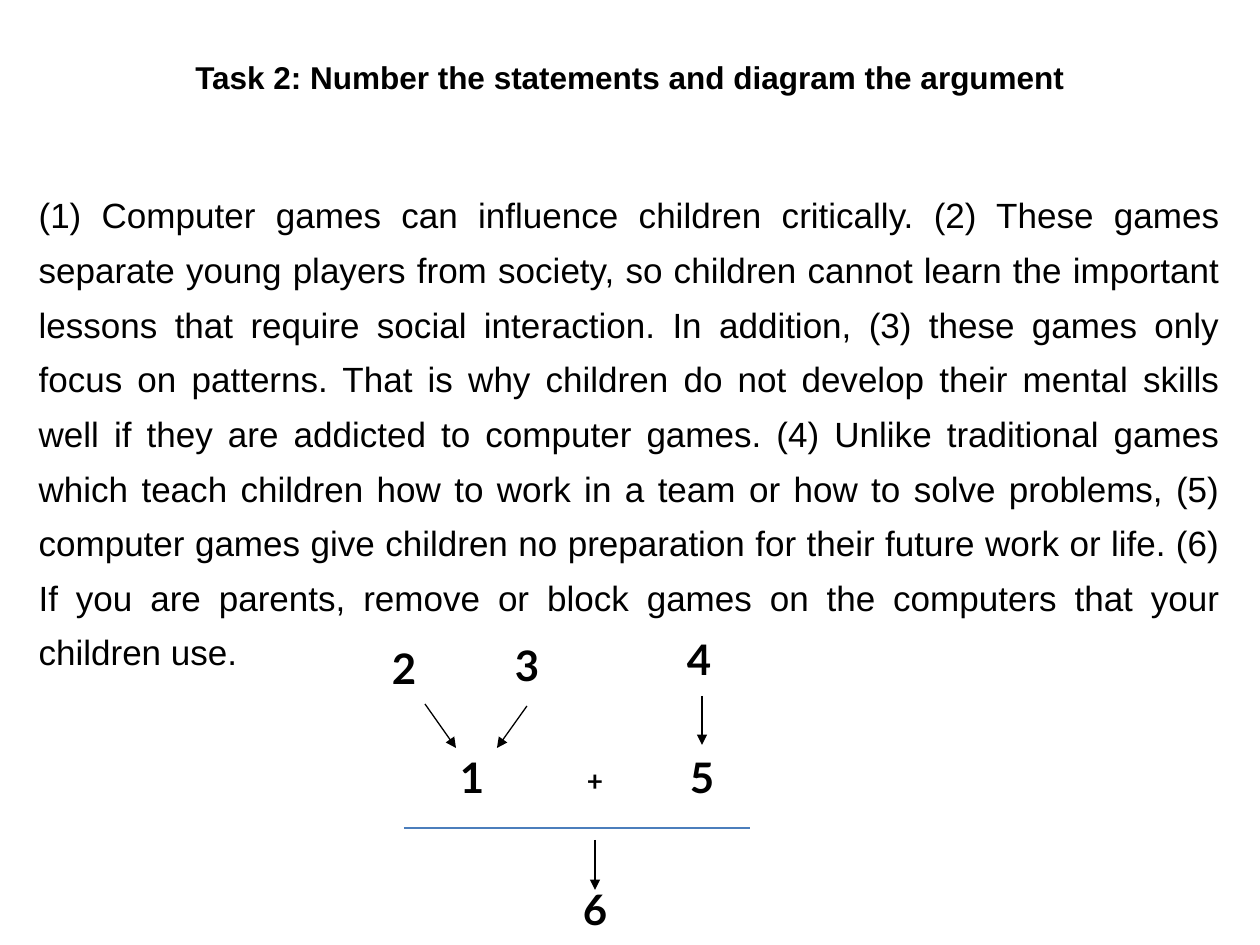
from lxml.etree import SubElement
from pptx import Presentation
from pptx.dml.color import RGBColor
from pptx.enum.shapes import MSO_CONNECTOR
from pptx.enum.text import MSO_ANCHOR, MSO_AUTO_SIZE, PP_ALIGN
from pptx.oxml.ns import qn
from pptx.util import Emu, Pt

# Content: positions in px, 126 px to the inch
TITLE = "Task 2: Number the statements and diagram the argument"
ARGUMENT = (
    "(1) Computer games can influence children critically. (2) These games "
    "separate young players from society, so children cannot learn the "
    "important lessons that require social interaction. In addition, (3) "
    "these games only focus on patterns. That is why children do not develop "
    "their mental skills well if they are addicted to computer games. (4) "
    "Unlike traditional games which teach children how to work in a team or "
    "how to solve problems, (5) computer games give children no preparation "
    "for their future work or life. (6) If you are parents, remove or block "
    "games on the computers that your children use."
)
# label, left, top, height, size in points
LABELS = [
    ("1", 404, 745, 63, 24),
    ("5", 634, 745, 63, 24),
    ("2", 336, 636, 63, 24),
    ("3", 459, 633, 63, 24),
    ("4", 631, 627, 63, 24),
    ("6", 527, 877, 63, 24),
    ("+", 527, 757, 47, 16),
]
LABEL_WIDTH = 136
# start x, start y, end x, end y
ARROWS = [
    (425, 704, 456, 748),
    (527, 706, 497, 748),
    (702, 696, 702, 745),
    (595, 840, 595, 890),
]
SUM_LINE = (404, 828, 750, 828)
COLORS = {"text": "000000", "arrow": "000000", "sum": "4B7EBC"}
SCALE = 914400 // 126


def px(value):
    return Emu(value * SCALE)


def place(shape, left, top, width, height):
    shape.left, shape.top = px(left), px(top)
    shape.width, shape.height = px(width), px(height)


def write(shape, text, size, font, alignment, bold=False):
    frame = shape.text_frame
    frame.word_wrap = True
    frame.auto_size = MSO_AUTO_SIZE.NONE
    frame.text = text
    paragraph = frame.paragraphs[0]
    paragraph.alignment = alignment
    run_font = paragraph.runs[0].font
    run_font.name, run_font.size, run_font.bold = font, Pt(size), bold
    run_font.color.rgb = RGBColor.from_string(COLORS["text"])
    return paragraph


def add_line(slide, ends, color, arrow=False):
    line = slide.shapes.add_connector(MSO_CONNECTOR.STRAIGHT, *map(px, ends))
    line.line.width = Pt(0.75)
    line.line.color.rgb = RGBColor.from_string(color)
    if arrow:
        SubElement(line.line._get_or_add_ln(), qn("a:tailEnd"), type="triangle")
    SubElement(line._element.spPr, qn("a:effectLst"))


presentation = Presentation()
presentation.slide_width, presentation.slide_height = px(1260), px(945)
slide = presentation.slides.add_slide(presentation.slide_layouts[1])

# Title and argument
title, body = slide.shapes.title, slide.placeholders[1]
place(title, 63, 53, 1134, 47)
title.text_frame.vertical_anchor = MSO_ANCHOR.MIDDLE
write(title, TITLE, 18, "Arial", PP_ALIGN.CENTER, bold=True)

place(body, 26, 175, 1207, 714)
paragraph = write(body, ARGUMENT, 20, "Arial", PP_ALIGN.JUSTIFY)
properties = paragraph._p.get_or_add_pPr()
properties.set("marL", "0")
properties.set("indent", "0")
SubElement(properties, qn("a:buNone"))
paragraph.space_before = Pt(0)
paragraph.line_spacing = 1.3

# Argument diagram
for label, left, top, height, size in LABELS:
    box = slide.shapes.add_textbox(px(left), px(top), px(LABEL_WIDTH), px(height))
    write(box, label, size, "Lato", PP_ALIGN.CENTER, bold=True)
for ends in ARROWS:
    add_line(slide, ends, COLORS["arrow"], arrow=True)
add_line(slide, SUM_LINE, COLORS["sum"])

presentation.save("out.pptx")
